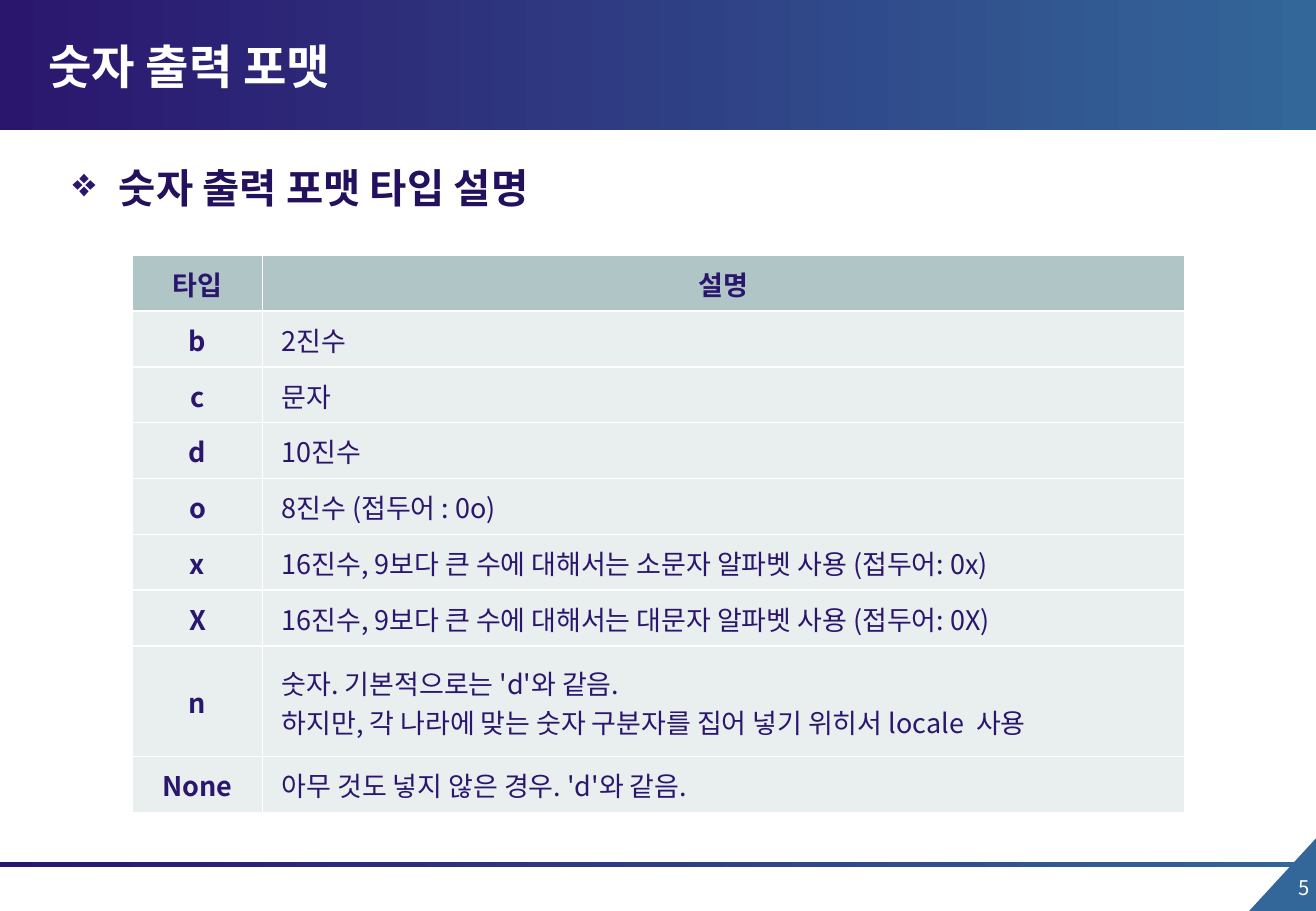
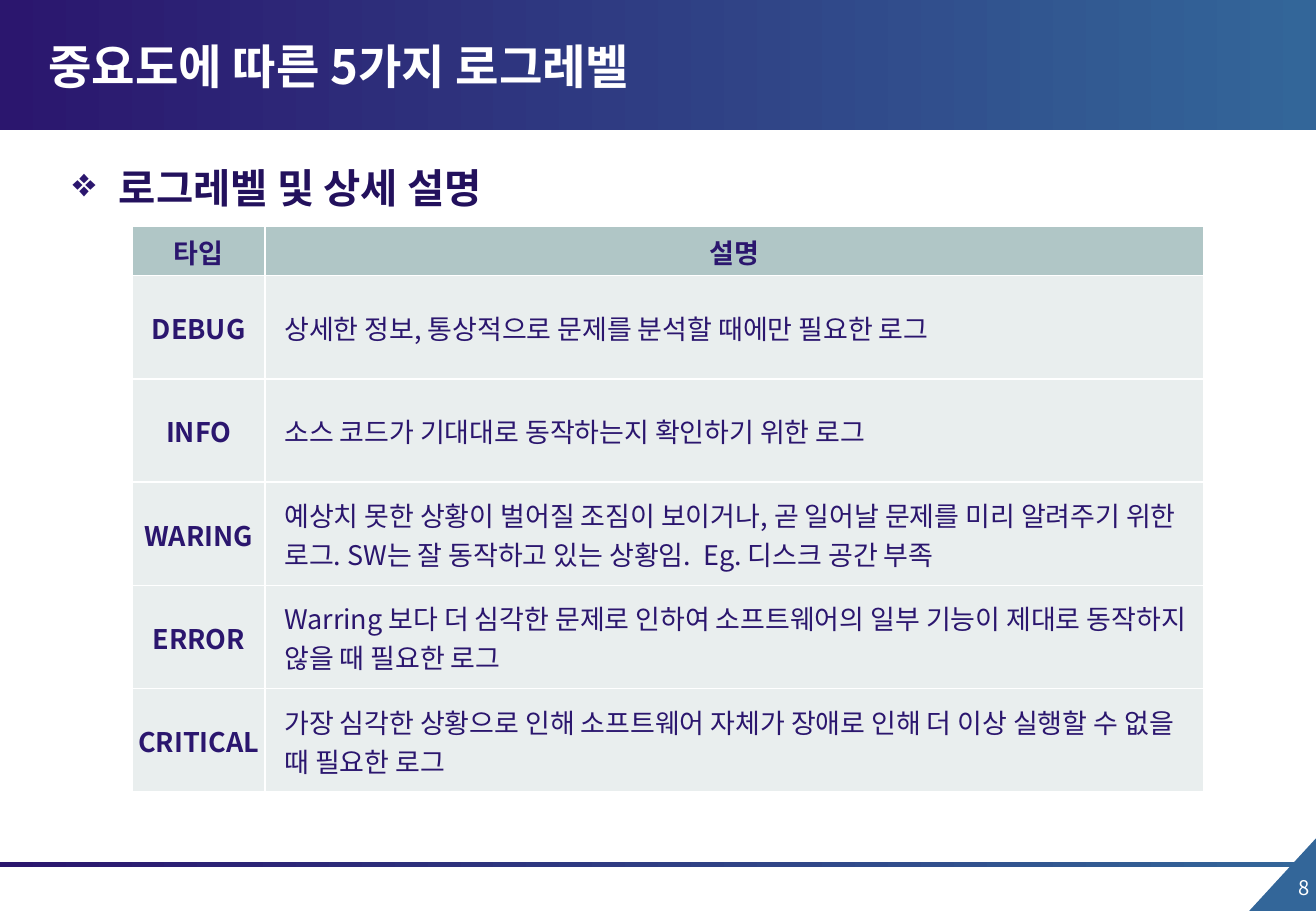
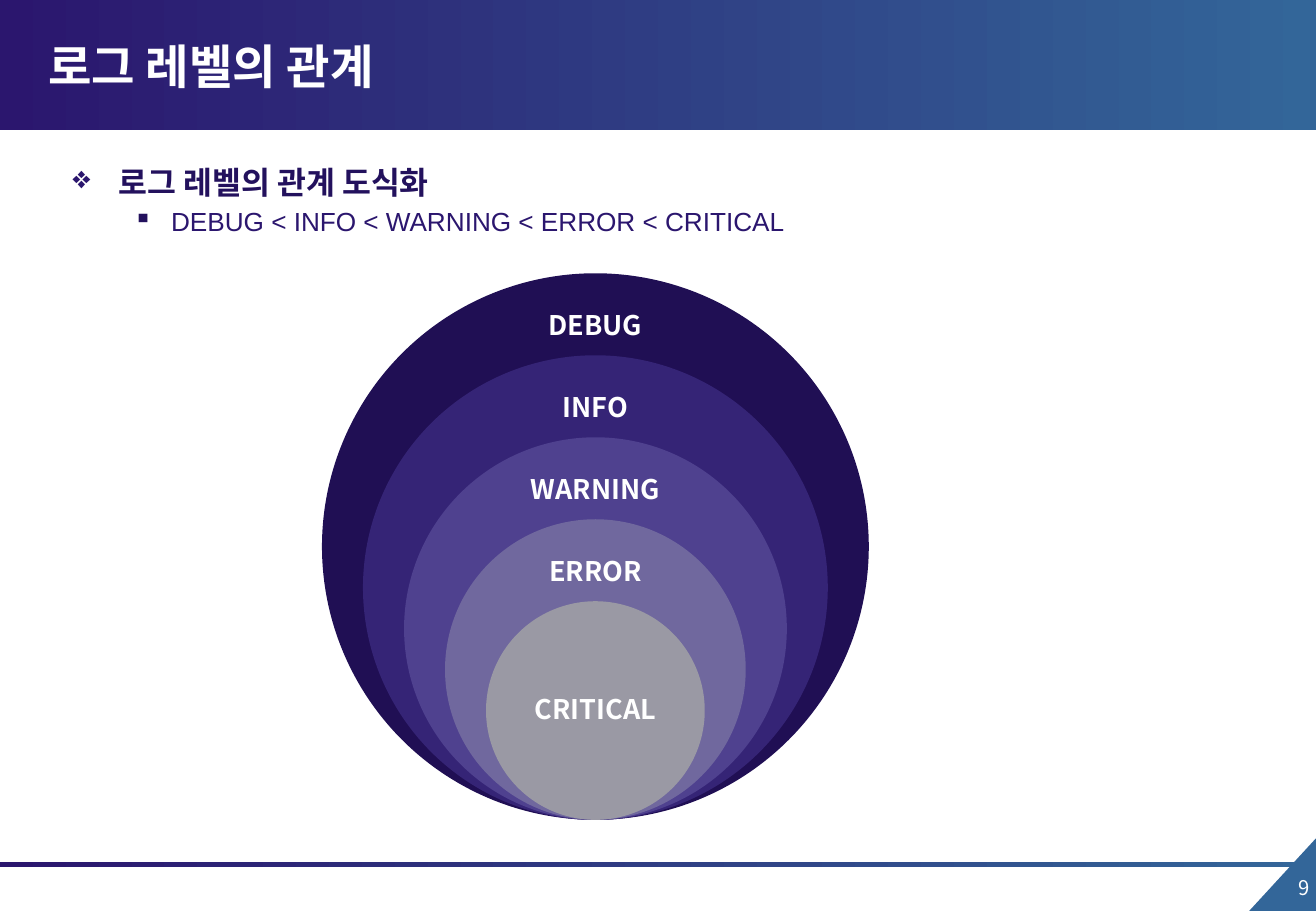
from dataclasses import dataclass

from lxml.etree import SubElement
from pptx import Presentation
from pptx.dml.color import RGBColor
from pptx.enum.shapes import MSO_SHAPE
from pptx.enum.text import MSO_ANCHOR, PP_ALIGN
from pptx.oxml.ns import qn
from pptx.util import Inches, Pt


@dataclass(frozen=True)
class Theme:
    font: str = "Noto Sans CJK KR"
    body_font: str = "Arial"
    white: str = "FFFFFF"
    indigo: str = "2B166E"
    dark_indigo: str = "23115D"
    blue: str = "336699"
    header_fill: str = "B0C6C6"
    row_fill: str = "E9EEEE"
    ring_fills: tuple = ("200F54", "352476", "4F418F", "70689E", "9A99A4")
    title_size: float = 28
    heading_size: float = 24
    small_heading_size: float = 18.6
    subheading_size: float = 15.5
    text_size: float = 16
    number_size: float = 12


THEME = Theme()
WIDTH, HEIGHT = 10.83, 7.5

FORMAT_ROWS = [
    ("타입", "설명"),
    ("b", "2진수"),
    ("c", "문자"),
    ("d", "10진수"),
    ("o", "8진수 (접두어 : 0o)"),
    ("x", "16진수, 9보다 큰 수에 대해서는 소문자 알파벳 사용 (접두어: 0x)"),
    ("X", "16진수, 9보다 큰 수에 대해서는 대문자 알파벳 사용 (접두어: 0X)"),
    ("n", "숫자. 기본적으로는 'd'와 같음.\n"
          "하지만, 각 나라에 맞는 숫자 구분자를 집어 넣기 위히서 locale  사용"),
    ("None", "아무 것도 넣지 않은 경우. 'd'와 같음."),
]

LEVEL_ROWS = [
    ("타입", "설명"),
    ("DEBUG", "상세한 정보, 통상적으로 문제를 분석할 때에만 필요한 로그"),
    ("INFO", "소스 코드가 기대대로 동작하는지 확인하기 위한 로그"),
    ("WARING", "예상치 못한 상황이 벌어질 조짐이 보이거나, 곧 일어날 문제를 미리 알려주기 "
               "위한 로그. SW는 잘 동작하고 있는 상황임.  Eg. 디스크 공간 부족"),
    ("ERROR", "Warring 보다 더 심각한 문제로 인하여 소프트웨어의 일부 기능이 제대로 "
              "동작하지 않을 때 필요한 로그"),
    ("CRITICAL", "가장 심각한 상황으로 인해 소프트웨어 자체가 장애로 인해 더 이상 실행할 수 없을 "
                 "때 필요한 로그"),
]

RING_LABELS = [("DEBUG", 1.69), ("INFO", 1.65), ("WARNING", 1.63),
               ("ERROR", 1.34), ("CRITICAL", 1.27)]


def rgb(color):
    return RGBColor.from_string(color)


def style_paragraph(paragraph, size, color, bold=False, font=THEME.font, align=PP_ALIGN.LEFT):
    paragraph.alignment = align
    paragraph.font.size = Pt(size)
    paragraph.font.bold = bold
    paragraph.font.color.rgb = rgb(color)
    paragraph.font.name = font
    defaults = paragraph._p.pPr.find(qn("a:defRPr"))
    SubElement(defaults, qn("a:ea"), typeface=THEME.font)


def add_bullet(paragraph, character, color, left, hanging):
    properties = paragraph._p.get_or_add_pPr()
    properties.set("marL", str(Inches(left)))
    properties.set("indent", str(-Inches(hanging)))
    bullet_color = SubElement(properties, qn("a:buClr"))
    SubElement(bullet_color, qn("a:srgbClr"), val=color)
    SubElement(properties, qn("a:buChar"), char=character)


def add_text_box(slide, left, top, width, height, anchor=MSO_ANCHOR.TOP):
    box = slide.shapes.add_textbox(Inches(left), Inches(top), Inches(width), Inches(height))
    frame = box.text_frame
    frame.word_wrap = True
    frame.vertical_anchor = anchor
    return frame


def add_shape(slide, kind, left, top, width, height, color):
    shape = slide.shapes.add_shape(
        kind, Inches(left), Inches(top), Inches(width), Inches(height))
    shape.shadow.inherit = False
    shape.line.fill.background()
    shape.fill.solid()
    shape.fill.fore_color.rgb = rgb(color)
    return shape


def add_gradient_band(slide, top, height):
    band = add_shape(slide, MSO_SHAPE.RECTANGLE, 0, top, WIDTH, height, THEME.indigo)
    band.fill.gradient()
    band.fill.gradient_angle = 0
    for stop, color in zip(band.fill.gradient_stops, (THEME.indigo, THEME.blue)):
        stop.color.rgb = rgb(color)


def add_framed_slide(presentation, title, number):
    slide = presentation.slides.add_slide(presentation.slide_layouts[6])
    corner = add_shape(slide, MSO_SHAPE.RIGHT_TRIANGLE, 10.25, 6.91, 0.62, 0.57, THEME.blue)
    corner.rotation = 270
    add_gradient_band(slide, 7.1, 0.04)
    add_gradient_band(slide, 0, 1.07)

    number_paragraph = add_text_box(slide, 10.27, 7.16, 0.61, 0.41).paragraphs[0]
    number_paragraph.text = str(number)
    style_paragraph(number_paragraph, THEME.number_size, THEME.white, align=PP_ALIGN.RIGHT)

    title_paragraph = add_text_box(slide, 0.3, 0.23, 8.12, 0.62, MSO_ANCHOR.MIDDLE).paragraphs[0]
    title_paragraph.text = title
    style_paragraph(title_paragraph, THEME.title_size, THEME.white, bold=True)
    return slide


def add_heading(slide, text, size=THEME.heading_size, height=0.57):
    frame = add_text_box(slide, 0.5, 1.29, 9.8, height)
    paragraph = frame.paragraphs[0]
    paragraph.text = text
    add_bullet(paragraph, "❖", THEME.indigo, 0.38, 0.38)
    style_paragraph(paragraph, size, THEME.dark_indigo, bold=True, font=THEME.body_font)
    return frame


def add_subheading(frame, text):
    paragraph = frame.add_paragraph()
    paragraph.text = text
    paragraph.level = 1
    add_bullet(paragraph, "▪", THEME.dark_indigo, 0.81, 0.31)
    style_paragraph(paragraph, THEME.subheading_size, THEME.indigo, font=THEME.body_font)
    paragraph.space_before = Pt(3)


def add_cell_borders(cell):
    properties = cell._tc.get_or_add_tcPr()
    for side in ("a:lnL", "a:lnR", "a:lnT", "a:lnB"):
        line = SubElement(properties, qn(side), w=str(Pt(1)))
        fill = SubElement(line, qn("a:solidFill"))
        SubElement(fill, qn("a:srgbClr"), val=THEME.white)


def fill_cell(cell, text, is_header, is_label):
    centred = is_header or is_label
    cell.vertical_anchor = MSO_ANCHOR.MIDDLE
    cell.margin_left = Inches(0.01 if centred else 0.16)
    cell.margin_top = cell.margin_right = Inches(0.01)
    cell.margin_bottom = 0
    add_cell_borders(cell)
    cell.fill.solid()
    cell.fill.fore_color.rgb = rgb(THEME.header_fill if is_header else THEME.row_fill)
    paragraph = cell.text_frame.paragraphs[0]
    paragraph.text = text
    style_paragraph(paragraph, THEME.text_size, THEME.indigo, bold=centred,
                    align=PP_ALIGN.CENTER if centred else PP_ALIGN.LEFT)


def add_description_table(slide, rows, top, column_widths, row_heights):
    table = slide.shapes.add_table(
        len(rows), len(column_widths), Inches(1.09), Inches(top),
        Inches(sum(column_widths)), Inches(sum(row_heights))).table
    table.horz_banding = False
    for column, width in zip(table.columns, column_widths):
        column.width = Inches(width)
    for row_index, (texts, height) in enumerate(zip(rows, row_heights)):
        table.rows[row_index].height = Inches(height)
        for column_index, text in enumerate(texts):
            fill_cell(table.cell(row_index, column_index), text,
                      row_index == 0, column_index == 0)


def add_ring_label(slide, text, center, top, width, height):
    frame = add_text_box(slide, center - width / 2, top, width, height, MSO_ANCHOR.MIDDLE)
    frame.margin_left = frame.margin_right = Inches(0.12)
    frame.margin_top = frame.margin_bottom = Inches(0.12)
    paragraph = frame.paragraphs[0]
    paragraph.text = text
    paragraph.line_spacing = 0.9
    style_paragraph(paragraph, THEME.text_size, THEME.white, bold=True, align=PP_ALIGN.CENTER)


def add_nested_rings(slide, center, bottom, outer, inner):
    last = len(RING_LABELS) - 1
    step = (outer - inner) / last
    for index, ((text, width), color) in enumerate(zip(RING_LABELS, THEME.ring_fills)):
        diameter = outer - index * step
        top = bottom - diameter
        add_shape(slide, MSO_SHAPE.OVAL, center - diameter / 2, top, diameter, diameter, color)
        if index == last:
            add_ring_label(slide, text, center, top + diameter / 4, width, diameter / 2)
        else:
            add_ring_label(slide, text, center, top + 0.22, width, 0.44)


def main():
    presentation = Presentation()
    presentation.slide_width = Inches(WIDTH)
    presentation.slide_height = Inches(HEIGHT)

    formats = add_framed_slide(presentation, "숫자 출력 포맷", 5)
    add_heading(formats, "숫자 출력 포맷 타입 설명")
    add_description_table(formats, FORMAT_ROWS, 2.1, (1.07, 7.59),
                          [0.46] * 7 + [0.91, 0.46])

    levels = add_framed_slide(presentation, "중요도에 따른 5가지 로그레벨", 8)
    add_heading(levels, "로그레벨 및 상세 설명")
    add_description_table(levels, LEVEL_ROWS, 1.86, (1.09, 7.73), [0.41] + [0.85] * 5)

    relations = add_framed_slide(presentation, "로그 레벨의 관계", 9)
    heading = add_heading(relations, "로그 레벨의 관계 도식화", THEME.small_heading_size, 0.65)
    add_subheading(heading, "DEBUG < INFO < WARNING < ERROR < CRITICAL")
    add_nested_rings(relations, center=4.9, bottom=6.75, outer=4.5, inner=1.8)

    presentation.save("out.pptx")


main()
